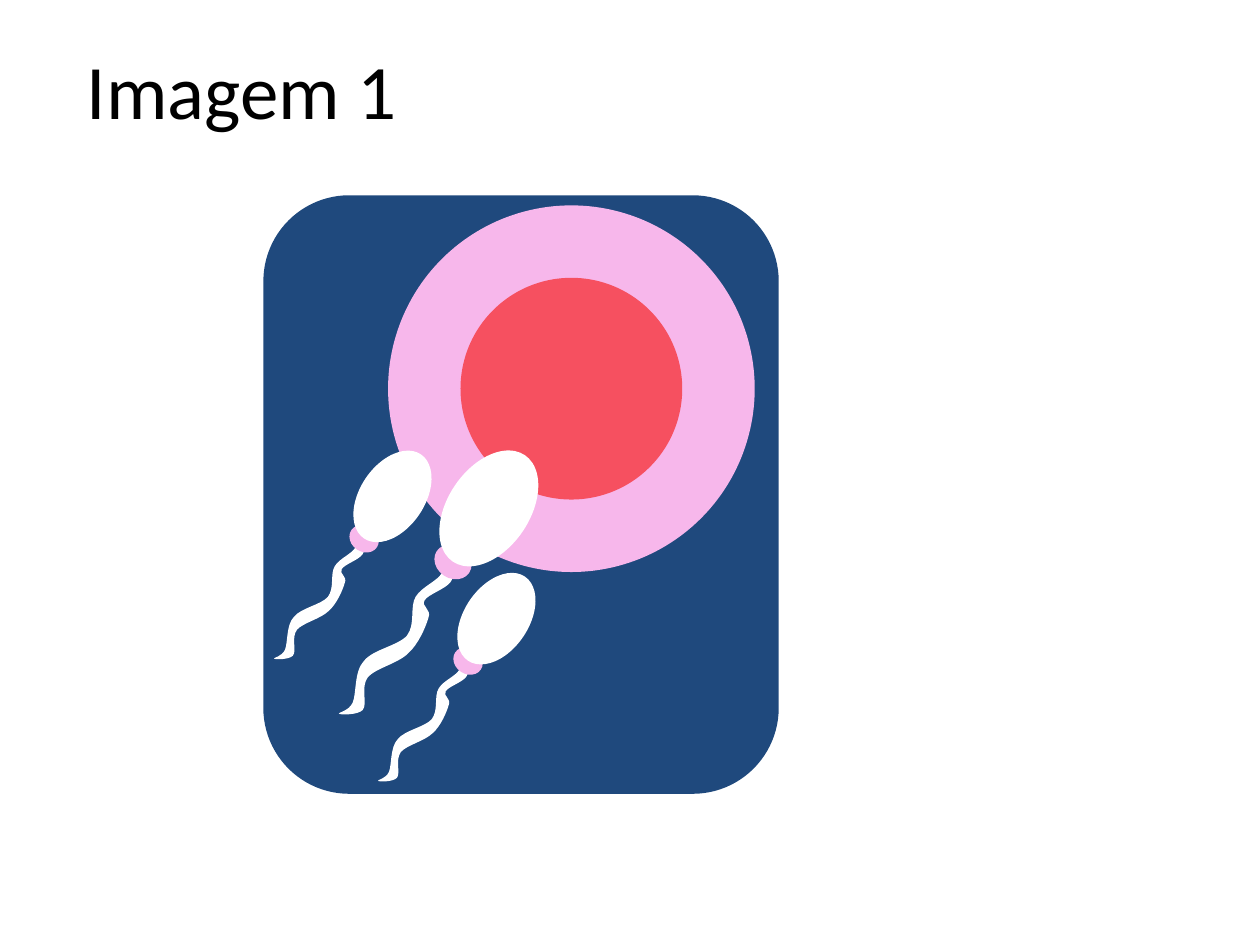
from math import cos, radians, sin

from lxml import etree
from pptx import Presentation
from pptx.dml.color import RGBColor
from pptx.enum.shapes import MSO_SHAPE
from pptx.enum.text import MSO_AUTO_SIZE
from pptx.oxml.ns import qn
from pptx.util import Inches, Pt

OVAL = MSO_SHAPE.OVAL
ROUND = MSO_SHAPE.ROUNDED_RECTANGLE
FIT = MSO_AUTO_SIZE.SHAPE_TO_FIT_TEXT
COLORS = {"text": "000000", "panel": "1F497D", "pink": "F7B7EB",
          "core": "F65060", "white": "FFFFFF"}
COLS = 1000
TILT = 34.1
START = (-37, 26)
CURVES = [
    (-38, 29, -34, 44, -37, 51), (-41, 58, -53, 62, -58, 70),
    (-63, 78, -58, 92, -65, 101), (-72, 109, -92, 112, -99, 121),
    (-107, 129, -105, 147, -108, 154), (-111, 161, -120, 162, -119, 163),
    (-117, 164, -104, 164, -100, 160), (-96, 155, -102, 142, -96, 134),
    (-90, 127, -72, 123, -64, 115), (-56, 108, -50, 94, -48, 87),
    (-45, 80, -54, 78, -51, 73), (-48, 68, -34, 64, -30, 58),
    (-26, 51, -25, 39, -27, 34), (-28, 29, -35, 23, -37, 26),
]
CELLS = [(179, 248.5, 1), (102.5, 239, 0.79), (185, 336, 0.79)]

deck = Presentation()
deck.slide_width, deck.slide_height = Inches(10), Inches(7.5)
UNIT = deck.slide_width / COLS


def grid(*cells):
    return [round(cell * UNIT) for cell in cells]


def spin(x, y, angle):
    turn = radians(angle)
    return x * cos(turn) - y * sin(turn), x * sin(turn) + y * cos(turn)


def paint(shape, color):
    shape.shadow.inherit = False
    shape.fill.solid()
    shape.fill.fore_color.rgb = RGBColor.from_string(COLORS[color])
    shape.line.fill.background()


def place(shapes, kind, box, color, turn=0):
    shape = shapes.add_shape(kind, *grid(*box))
    shape.rotation = turn
    paint(shape, color)


def disc(shapes, x, y, wide, high, color, turn=0):
    place(shapes, OVAL, (x - wide / 2, y - high / 2, wide, high), color, turn)


def bend(shape):
    lines = list(shape.element.iter(qn("a:lnTo")))
    for index in range(0, len(lines), 3):
        curve = etree.Element(qn("a:cubicBezTo"))
        lines[index].addprevious(curve)
        for line in lines[index:index + 3]:
            curve.append(line[0])
            line.getparent().remove(line)


def tail(shapes, x, y, size):
    def spot(point):
        across, down = spin(*point, -TILT)
        return grid(x + across * size, y + down * size)

    knots = [spot(curve[i:i + 2]) for curve in CURVES for i in (0, 2, 4)]
    pen = shapes.build_freeform(*spot(START))
    pen.add_line_segments(knots, close=True)
    shape = pen.convert_to_shape()
    bend(shape)
    paint(shape, "white")
    head = grid(x, y)
    half = shape.width / 2, shape.height / 2
    shift = spin(shape.left + half[0] - head[0], shape.top + half[1] - head[1], TILT)
    shape.left = round(head[0] + shift[0] - half[0])
    shape.top = round(head[1] + shift[1] - half[1])
    shape.rotation = TILT


def sperm(shapes, x, y, size):
    tail(shapes, x, y, size)
    disc(shapes, x - 28.5 * size, y + 42.5 * size, 31 * size, 26 * size, "pink", TILT)
    disc(shapes, x, y, 102 * size, 65 * size, "white", TILT + 270)


def scene(slide, left, top, wide, high):
    shapes = slide.shapes.add_group_shape().shapes
    place(shapes, ROUND, (left, top, wide, high), "panel")
    for span, color in ((291, "pink"), (176, "core")):
        disc(shapes, left + 244.5, top + 153.5, span, span, color)
    for x, y, size in CELLS:
        sperm(shapes, left + x, top + y, size)


def title(slide, left, top, wide, high, text):
    frame = slide.shapes.add_textbox(*grid(left, top, wide, high)).text_frame
    frame.word_wrap = False
    frame.auto_size = FIT
    run = frame.paragraphs[0].add_run()
    run.text = text
    run.font.name = "Calibri"
    run.font.size = Pt(44)
    run.font.color.rgb = RGBColor.from_string(COLORS["text"])


page = deck.slides.add_slide(deck.slide_layouts[6])
title(page, 59, 29, 268, 84, "Imagem 1")
scene(page, 209, 155, 409, 475)
deck.save("out.pptx")
